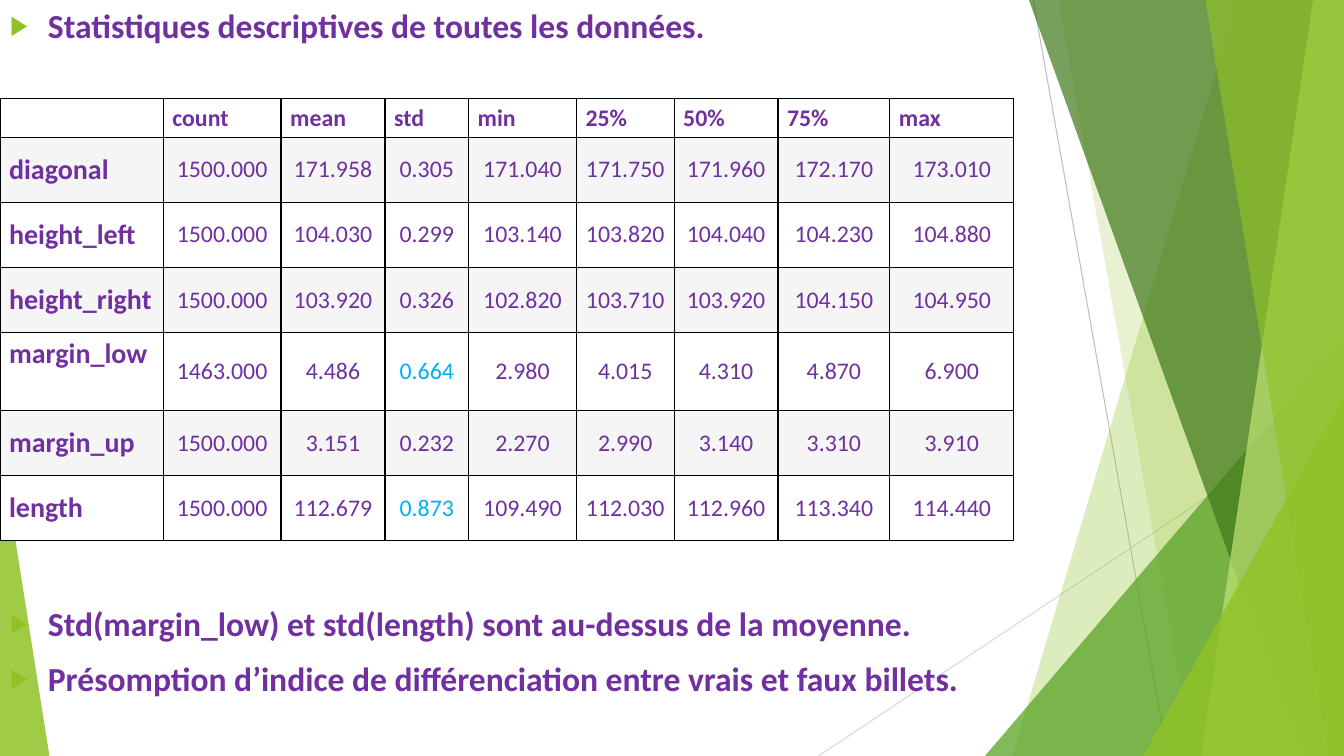
"""Build the slide of descriptive statistics for the banknote data."""
from dataclasses import dataclass

from lxml import etree
from pptx import Presentation
from pptx.dml.color import RGBColor
from pptx.enum.shapes import MSO_CONNECTOR, MSO_SHAPE
from pptx.enum.text import MSO_ANCHOR, MSO_AUTO_SIZE, PP_ALIGN
from pptx.oxml.ns import qn
from pptx.util import Pt

STRAIGHT = MSO_CONNECTOR.STRAIGHT
TRIANGLE = MSO_SHAPE.ISOSCELES_TRIANGLE
TOP, MIDDLE = MSO_ANCHOR.TOP, MSO_ANCHOR.MIDDLE
LEFT, CENTER = PP_ALIGN.LEFT, PP_ALIGN.CENTER
NO_AUTOFIT = MSO_AUTO_SIZE.NONE

LIME = RGBColor(0x90, 0xC2, 0x26)
GREEN = RGBColor(0x54, 0xA0, 0x21)
FOREST = RGBColor(0x3F, 0x78, 0x19)
PALE_LIME = RGBColor(0xC0, 0xE4, 0x74)
GREY = RGBColor(0xBF, 0xBF, 0xBF)
LIGHT_GREY = RGBColor(0xD9, 0xD9, 0xD9)
PURPLE = RGBColor(0x70, 0x30, 0xA0)
SKY = RGBColor(0x00, 0xB0, 0xF0)
WHITE = RGBColor(0xFF, 0xFF, 0xFF)
BAND = RGBColor(0xF5, 0xF5, 0xF5)
BLACK = RGBColor(0x00, 0x00, 0x00)

WIDTH, HEIGHT = 960, 540
FONT = "Calibri"


@dataclass(frozen=True)
class Ray:
    """A thin line."""
    start: tuple[float, float]
    end: tuple[float, float]
    color: RGBColor


@dataclass(frozen=True)
class Shard:
    """A full-height panel, given by its top and bottom edges."""
    top: tuple[float, float]
    bottom: tuple[float, float]
    color: RGBColor
    opacity: int


@dataclass(frozen=True)
class Peak:
    """A triangle standing on the lower edge of the slide."""
    left: float
    top: float
    width: float
    apex: float
    color: RGBColor
    opacity: int


@dataclass(frozen=True)
class Bullet:
    """A bulleted line and the space above it."""
    text: str
    space_before: float


DECORATION = [
    Ray((738, 0), (834, HEIGHT), GREY),
    Ray((WIDTH, 290), (584.6, HEIGHT), LIGHT_GREY),
    Shard((884, WIDTH), (723, WIDTH), LIME, 30),
    Shard((756, WIDTH), (852, WIDTH), LIME, 20),
    Peak(703.5, 240, 256.5, 1, GREEN, 72),
    Shard((735, WIDTH), (929.5, WIDTH), FOREST, 70),
    Shard((938, WIDTH), (858, WIDTH), PALE_LIME, 70),
    Shard((861, WIDTH), (949, WIDTH), LIME, 65),
    Peak(816.5, 283, 143.5, 1, LIME, 80),
    Peak(0, 316, 35.3, 0, LIME, 85),
]

BULLETS = [
    Bullet("Statistiques descriptives de toutes les données.", 0),
    Bullet("Std(margin_low) et std(length) sont au-dessus de la moyenne.", 398.5),
    Bullet("Présomption d’indice de différenciation entre vrais et faux billets.", 10),
]

STATISTICS = [
    ["", "count", "mean", "std", "min", "25%", "50%", "75%", "max"],
    ["diagonal", "1500.000", "171.958", "0.305", "171.040", "171.750", "171.960", "172.170", "173.010"],
    ["height_left", "1500.000", "104.030", "0.299", "103.140", "103.820", "104.040", "104.230", "104.880"],
    ["height_right", "1500.000", "103.920", "0.326", "102.820", "103.710", "103.920", "104.150", "104.950"],
    ["margin_low", "1463.000", "4.486", "0.664", "2.980", "4.015", "4.310", "4.870", "6.900"],
    ["margin_up", "1500.000", "3.151", "0.232", "2.270", "2.990", "3.140", "3.310", "3.910"],
    ["length", "1500.000", "112.679", "0.873", "109.490", "112.030", "112.960", "113.340", "114.440"],
]
COLUMN_WIDTHS = [116.6, 84.2, 74.2, 59.8, 77, 69.8, 74.2, 79.9, 88.6]
ROW_HEIGHTS = [27, 46.5, 46.5, 46.5, 55.7, 46.5, 46.5]
HIGHLIGHTS = {"0.664", "0.873"}


def draw_ray(page, ray: Ray) -> None:
    """Draw one thin line without a shadow."""
    line = page.shapes.add_connector(STRAIGHT, *map(Pt, ray.start + ray.end))
    line.line.color.rgb = ray.color
    line.line.width = Pt(0.75)
    etree.SubElement(line.element.spPr, qn("a:effectLst"))


def paint(shape, color: RGBColor, opacity: int) -> None:
    """Give a shape a translucent fill and no outline."""
    shape.shadow.inherit = False
    shape.line.fill.background()
    shape.fill.solid()
    shape.fill.fore_color.rgb = color
    tint = shape.element.spPr.find(".//" + qn("a:srgbClr"))
    etree.SubElement(tint, qn("a:alpha"), val=str(opacity * 1000))


def draw_shard(page, shard: Shard) -> None:
    """Draw one full-height panel."""
    (top_left, top_right), (bottom_left, bottom_right) = shard.top, shard.bottom
    outline = page.shapes.build_freeform(Pt(top_left), Pt(0))
    corners = [(top_right, 0), (bottom_right, HEIGHT), (bottom_left, HEIGHT)]
    outline.add_line_segments([(Pt(x), Pt(y)) for x, y in corners], close=True)
    paint(outline.convert_to_shape(), shard.color, shard.opacity)


def draw_peak(page, peak: Peak) -> None:
    """Draw one triangle."""
    shape = page.shapes.add_shape(
        TRIANGLE, Pt(peak.left), Pt(peak.top), Pt(peak.width), Pt(HEIGHT - peak.top))
    shape.adjustments[0] = peak.apex
    paint(shape, peak.color, peak.opacity)


def style_font(font, size: float, bold: bool, color: RGBColor = PURPLE) -> None:
    """Set the typeface, size, weight and colour."""
    font.name, font.size, font.bold = FONT, Pt(size), bold
    font.color.rgb = color


def write_bullets(body) -> None:
    """Place the body placeholder and fill it with the bulleted lines."""
    body.left, body.top, body.width, body.height = map(Pt, (0, 0, WIDTH, HEIGHT))
    frame = body.text_frame
    frame.word_wrap, frame.auto_size, frame.vertical_anchor = True, NO_AUTOFIT, TOP
    frame.text = "\n".join(bullet.text for bullet in BULLETS)
    for para, bullet in zip(frame.paragraphs, BULLETS):
        properties = para._p.get_or_add_pPr()
        properties.set("marL", str(Pt(27)))
        properties.set("indent", str(-Pt(27)))
        marker_color = etree.SubElement(properties, qn("a:buClr"))
        etree.SubElement(marker_color, qn("a:srgbClr"), val=str(LIME))
        etree.SubElement(properties, qn("a:buSzPct"), val="80000")
        etree.SubElement(properties, qn("a:buChar"), char="▶")
        para.alignment = LEFT
        para.space_before = Pt(bullet.space_before)
        style_font(para.font, 24, True)


def border_cell(cell) -> None:
    """Draw a black line on each side of a cell."""
    properties = cell._tc.get_or_add_tcPr()
    for index, side in enumerate(("lnL", "lnR", "lnT", "lnB")):
        line = etree.Element(qn("a:" + side), w=str(Pt(1)))
        fill = etree.SubElement(line, qn("a:solidFill"))
        etree.SubElement(fill, qn("a:srgbClr"), val=str(BLACK))
        properties.insert(index, line)


def draw_statistics(page) -> None:
    """Draw the table of statistics."""
    table = page.shapes.add_table(
        len(ROW_HEIGHTS), len(COLUMN_WIDTHS), Pt(0), Pt(70.6),
        Pt(sum(COLUMN_WIDTHS)), Pt(sum(ROW_HEIGHTS))).table
    table.first_row = table.horz_banding = False
    for column, width in zip(table.columns, COLUMN_WIDTHS):
        column.width = Pt(width)
    for row_index, (row, values) in enumerate(zip(table.rows, STATISTICS)):
        row.height = Pt(ROW_HEIGHTS[row_index])
        for column_index, (cell, value) in enumerate(zip(row.cells, values)):
            is_header, is_label = row_index == 0, column_index == 0
            cell.fill.solid()
            cell.fill.fore_color.rgb = BAND if row_index in (1, 3, 5) else WHITE
            border_cell(cell)
            cell.margin_left = cell.margin_right = Pt(6.5)
            cell.margin_top = cell.margin_bottom = Pt(3.3 if value else 0)
            cell.vertical_anchor = TOP if value == "margin_low" else MIDDLE
            cell.text = value
            para = cell.text_frame.paragraphs[0]
            para.alignment = LEFT if is_header or is_label else CENTER
            style_font(para.font, 20 if is_label and value else 17, is_header or is_label,
                       SKY if value in HIGHLIGHTS else PURPLE)


def main() -> None:
    """Build and save the deck."""
    deck = Presentation()
    deck.slide_width, deck.slide_height = Pt(WIDTH), Pt(HEIGHT)
    page = deck.slides.add_slide(deck.slide_layouts[1])
    title, body = page.placeholders
    tree = body.element.getparent()
    tree.remove(title.element)
    painters = {Ray: draw_ray, Shard: draw_shard, Peak: draw_peak}
    for item in DECORATION:
        painters[type(item)](page, item)
    tree.append(body.element)
    write_bullets(body)
    draw_statistics(page)
    deck.save("out.pptx")


if __name__ == "__main__":
    main()
